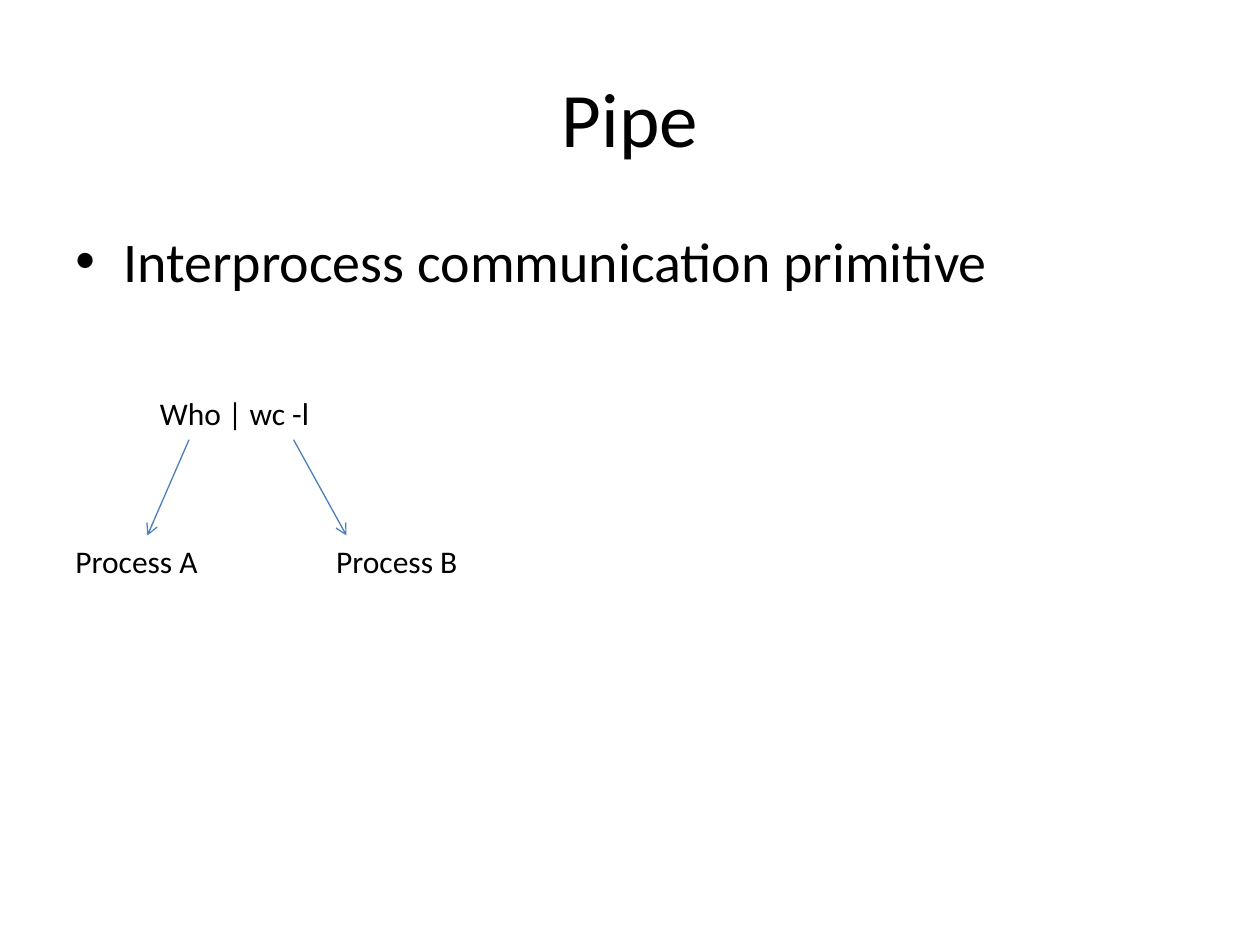
from dataclasses import dataclass

from lxml import etree
from pptx import Presentation
from pptx import util as u
from pptx.dml.color import RGBColor
from pptx.enum import shapes, text
from pptx.oxml.ns import qn


@dataclass(frozen=True)
class Theme:
    font: str = "Calibri"
    ink: RGBColor = RGBColor(0x00, 0x00, 0x00)
    arrow: RGBColor = RGBColor(0x4B, 0x7E, 0xBC)
    title: int = 44
    body: int = 32
    label: int = 18


theme = Theme()


def add_run(p, words, size):
    r = p.add_run()
    r.text = words
    r.font.name = theme.font
    r.font.size = u.Pt(size)
    r.font.color.rgb = theme.ink


def add_text(s, box, words, size, wrap=True):
    """Add a top-anchored text box and return its paragraph."""
    tf = s.shapes.add_textbox(*map(u.Inches, box)).text_frame
    tf.word_wrap = wrap
    p = tf.paragraphs[0]
    add_run(p, words, size)
    return p


prs = Presentation()
prs.slide_width, prs.slide_height = u.Inches(10), u.Inches(7.5)
s = prs.slides.add_slide(prs.slide_layouts[5])

# Title
title = s.shapes.title
title.left, title.top = u.Inches(0.5), u.Inches(0.3)
title.width, title.height = u.Inches(9), u.Inches(1.25)
title.text_frame.vertical_anchor = text.MSO_ANCHOR.MIDDLE
p = title.text_frame.paragraphs[0]
p.alignment = text.PP_ALIGN.CENTER
add_run(p, "Pipe", theme.title)

# Bulleted statement
p = add_text(s, (0.5, 1.75, 9, 4.95), "Interprocess communication primitive", theme.body)
p.space_before = u.Pt(0.2 * theme.body)
pPr = p._p.get_or_add_pPr()
indent = u.Inches(0.38)
pPr.set("marL", str(indent))
pPr.set("indent", str(-indent))
etree.SubElement(pPr, qn("a:buFont"), typeface="Arial")
etree.SubElement(pPr, qn("a:buChar"), char="•")

# Command and the two processes it starts
add_text(s, (1.17, 3.08, 1.4, 0.4), "Who | wc -l", theme.label, wrap=False)

arrow_top, process_top = 3.49, 4.25
processes = [
    # name, left, width, arrow start x, arrow end x
    ("Process A", 0.5, 1.42, 1.5, 1.17),
    ("Process B", 2.57, 2.1, 2.33, 2.75),
]
for name, left, width, x1, x2 in processes:
    arrow = s.shapes.add_connector(
        shapes.MSO_CONNECTOR.STRAIGHT,
        *map(u.Inches, (x1, arrow_top, x2, process_top)))
    arrow.line.color.rgb = theme.arrow
    arrow.line.width = u.Pt(0.75)
    etree.SubElement(arrow.line._get_or_add_ln(), qn("a:tailEnd"), type="arrow")
    etree.SubElement(arrow._element.spPr, qn("a:effectLst"))
    add_text(s, (left, process_top, width, 0.4), name, theme.label)

prs.save("out.pptx")
